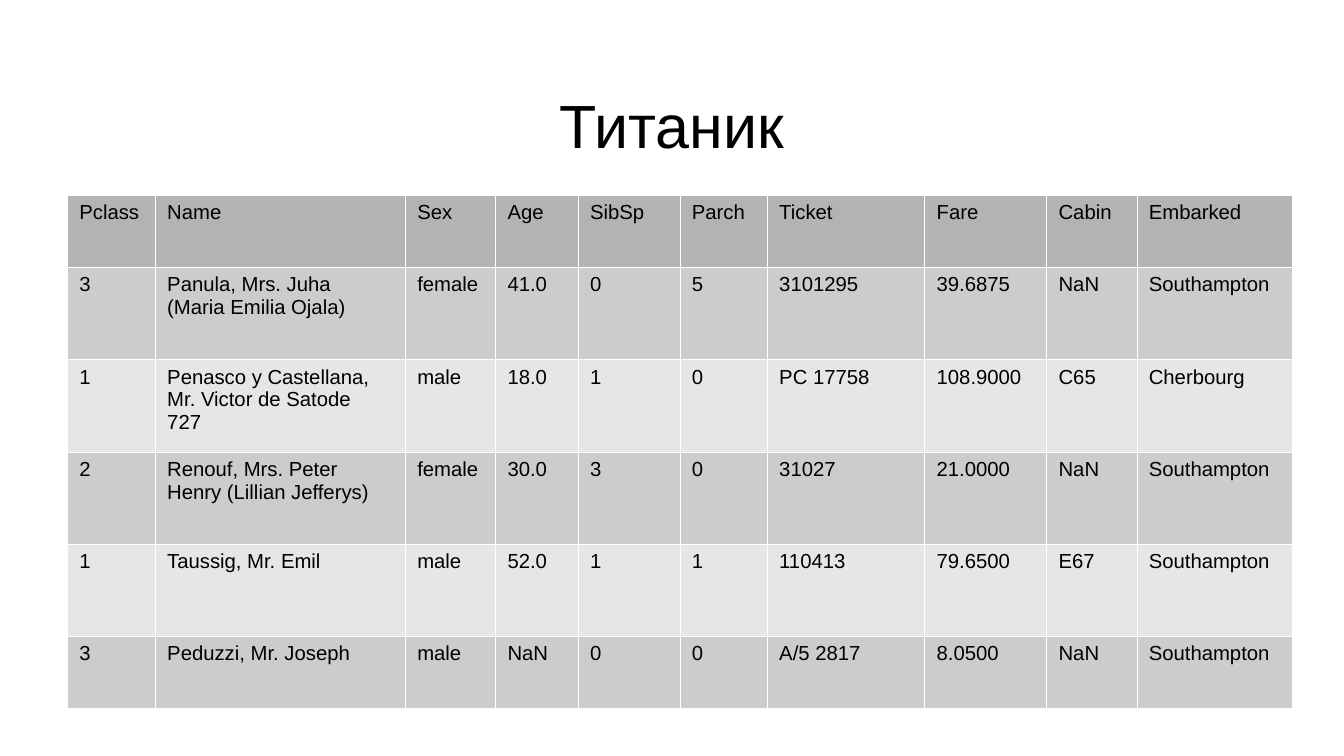
from lxml import etree
from pptx import Presentation
from pptx.dml.color import RGBColor
from pptx.enum.text import MSO_ANCHOR, PP_ALIGN
from pptx.oxml.ns import qn
from pptx.util import Cm, Pt

CENTER = PP_ALIGN.CENTER
MIDDLE = MSO_ANCHOR.MIDDLE
FONT = "Arial"
COLORS = {
    "text": "000000",
    "border": "FFFFFF",
    "header": "B3B3B3",
    "odd": "CCCCCC",
    "even": "E6E6E6",
}
COLUMN_WIDTHS = [1.83, 5.21, 1.88, 1.72, 2.12, 1.82, 3.28, 2.54, 1.88, 3.23]
ROW_HEIGHTS = [1.5, 1.92, 1.92, 1.92, 1.92, 1.5]
PASSENGERS = [
    ["Pclass", "Name", "Sex", "Age", "SibSp", "Parch", "Ticket", "Fare", "Cabin", "Embarked"],
    ["3", "Panula, Mrs. Juha (Maria Emilia Ojala)", "female", "41.0", "0", "5",
     "3101295", "39.6875", "NaN", "Southampton"],
    ["1", "Penasco y Castellana, Mr. Victor de Satode\n727", "male", "18.0", "1", "0",
     "PC 17758", "108.9000", "C65", "Cherbourg"],
    ["2", "Renouf, Mrs. Peter Henry (Lillian Jefferys)", "female", "30.0", "3", "0",
     "31027", "21.0000", "NaN", "Southampton"],
    ["1", "Taussig, Mr. Emil", "male", "52.0", "1", "1",
     "110413", "79.6500", "E67", "Southampton"],
    ["3", "Peduzzi, Mr. Joseph", "male", "NaN", "0", "0",
     "A/5 2817", "8.0500", "NaN", "Southampton"],
]


def format_text(frame, size):
    for para in frame.paragraphs:
        for span in para.runs:
            span.font.name = FONT
            span.font.size = Pt(size)
            span.font.bold = False
            span.font.color.rgb = RGBColor.from_string(COLORS["text"])


def add_borders(cell):
    properties = cell._tc.get_or_add_tcPr()
    for position, side in enumerate(("lnL", "lnR", "lnT", "lnB")):
        line = etree.Element(qn(f"a:{side}"), w=str(Pt(0.06)))
        fill = etree.SubElement(line, qn("a:solidFill"))
        etree.SubElement(fill, qn("a:srgbClr"), val=COLORS["border"])
        properties.insert(position, line)


deck = Presentation()
deck.slide_width, deck.slide_height = Cm(28), Cm(15.75)
page = deck.slides.add_slide(deck.slide_layouts[5])

title = page.shapes.title
title.left, title.top, title.width, title.height = Cm(1.4), Cm(0.84), Cm(25.2), Cm(3.5)
frame = title.text_frame
frame.text = "Титаник"
frame.margin_left = frame.margin_right = frame.margin_top = frame.margin_bottom = 0
frame.vertical_anchor = MIDDLE
frame.paragraphs[0].alignment = CENTER
format_text(frame, 36)

table = page.shapes.add_table(
    len(ROW_HEIGHTS), len(COLUMN_WIDTHS), Cm(1.4), Cm(4.07),
    Cm(sum(COLUMN_WIDTHS)), Cm(sum(ROW_HEIGHTS)),
).table
for column, width in zip(table.columns, COLUMN_WIDTHS):
    column.width = Cm(width)

for index, (row, height, values) in enumerate(zip(table.rows, ROW_HEIGHTS, PASSENGERS)):
    row.height = Cm(height)
    shade = "header" if index == 0 else "odd" if index % 2 else "even"
    for cell, value in zip(row.cells, values):
        cell.text_frame.text = value
        format_text(cell.text_frame, 12)
        cell.fill.solid()
        cell.fill.fore_color.rgb = RGBColor.from_string(COLORS[shade])
        add_borders(cell)

deck.save("out.pptx")
